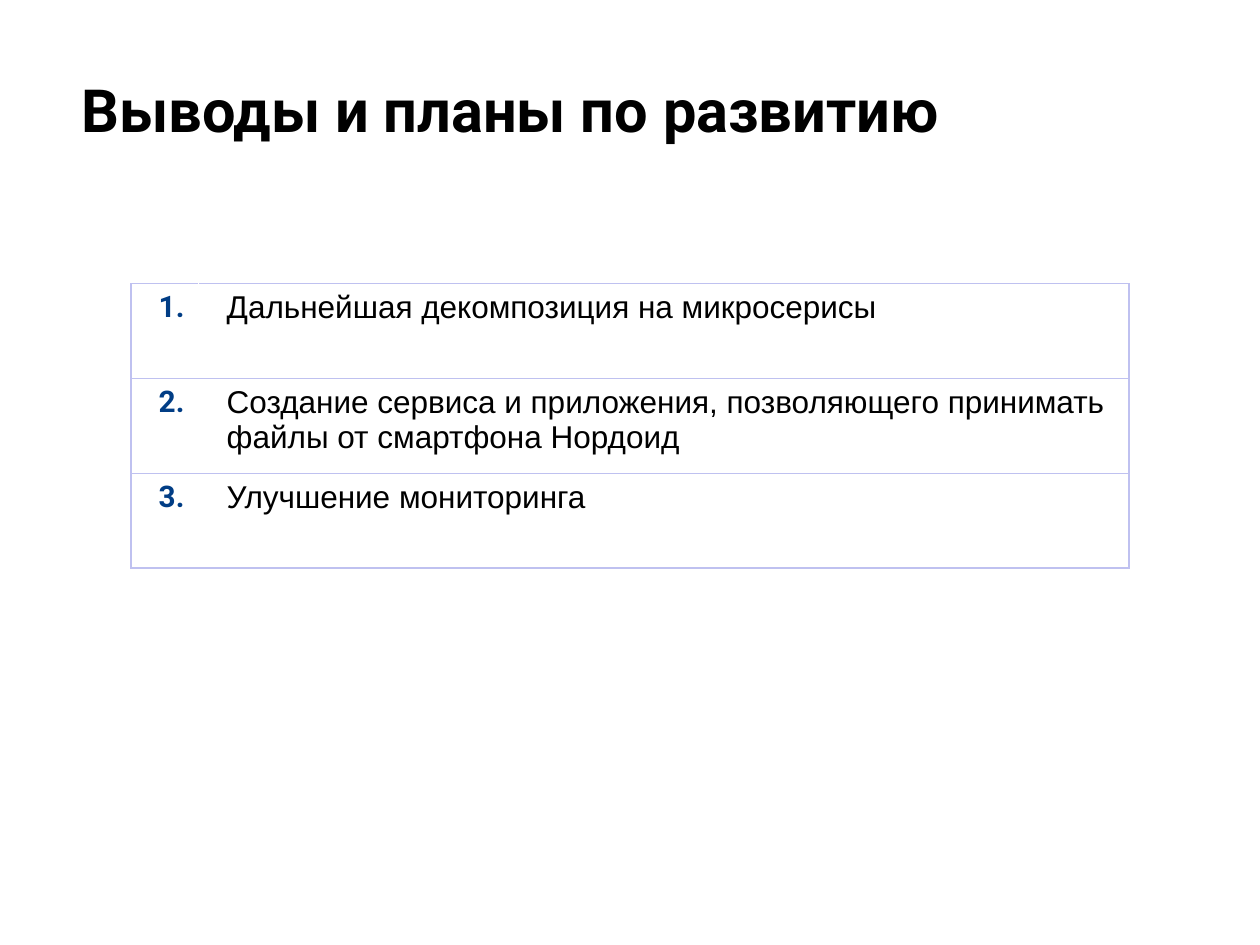
from dataclasses import dataclass

from lxml.etree import SubElement
from pptx import Presentation
from pptx.dml.color import RGBColor
from pptx.enum.text import MSO_ANCHOR, MSO_AUTO_SIZE, PP_ALIGN
from pptx.oxml.ns import qn
from pptx.util import Cm, Pt


@dataclass(frozen=True)
class Theme:
    text: str = "000000"
    number: str = "013D85"
    border: str = "BFC1F0"
    hidden: str = "FFFFFF"
    border_width: float = 0.75
    title_size: int = 34
    number_size: int = 17
    body_size: int = 18
    title_font: str = "Roboto"
    body_font: str = "Arial"


theme = Theme()


def write(tf, text, *, size, font, color, bold=False):
    tf.word_wrap = True
    p = tf.paragraphs[0]
    p.alignment = PP_ALIGN.LEFT
    r = p.add_run()
    r.text = text
    r.font.size = Pt(size)
    r.font.name = font
    r.font.bold = bold
    r.font.color.rgb = RGBColor.from_string(color)


def set_borders(cell, **colors):
    """Draw cell borders; the keys are the sides L, R, T and B."""
    tcPr = cell._tc.get_or_add_tcPr()
    for side in "LRTB":
        ln = SubElement(tcPr, qn(f"a:ln{side}"), w=str(Pt(theme.border_width)))
        fill = SubElement(ln, qn("a:solidFill"))
        SubElement(fill, qn("a:srgbClr"), val=colors.get(side, theme.border))


prs = Presentation()
prs.slide_width, prs.slide_height = Cm(25.4), Cm(19.05)
s = prs.slides.add_slide(prs.slide_layouts[5])

title = s.shapes.title
title.left, title.top, title.width, title.height = Cm(1.4), Cm(1.22), Cm(23.67), Cm(3.63)
tf = title.text_frame
tf.margin_left = tf.margin_right = tf.margin_top = tf.margin_bottom = Cm(0.25)
tf.vertical_anchor = MSO_ANCHOR.TOP
tf.auto_size = MSO_AUTO_SIZE.NONE
write(tf, "Выводы и планы по развитию", size=theme.title_size,
      font=theme.title_font, color=theme.text, bold=True)

plans = [
    "Дальнейшая декомпозиция на микросерисы",
    "Создание сервиса и приложения, позволяющего принимать файлы от смартфона Нордоид",
    "Улучшение мониторинга",
]
row_height = Cm(1.91)
number_width, plan_width = Cm(1.37), Cm(18.75)
table = s.shapes.add_table(len(plans), 2, Cm(2.64), Cm(5.72),
                           number_width + plan_width, row_height * len(plans)).table
table.first_row = table.horz_banding = False
table.columns[0].width, table.columns[1].width = number_width, plan_width

for i, plan in enumerate(plans):
    table.rows[i].height = row_height
    number_cell, plan_cell = table.cell(i, 0), table.cell(i, 1)
    set_borders(number_cell, R=theme.hidden)
    set_borders(plan_cell, L=theme.hidden)
    for cell in (number_cell, plan_cell):
        cell.fill.background()
        cell.margin_left, cell.margin_right = Cm(0.56), Cm(0.25)
        cell.margin_top = cell.margin_bottom = Cm(0.13)
    write(number_cell.text_frame, f"{i + 1}.", size=theme.number_size,
          font=theme.title_font, color=theme.number, bold=True)
    write(plan_cell.text_frame, plan, size=theme.body_size,
          font=theme.body_font, color=theme.text)

prs.save("out.pptx")
